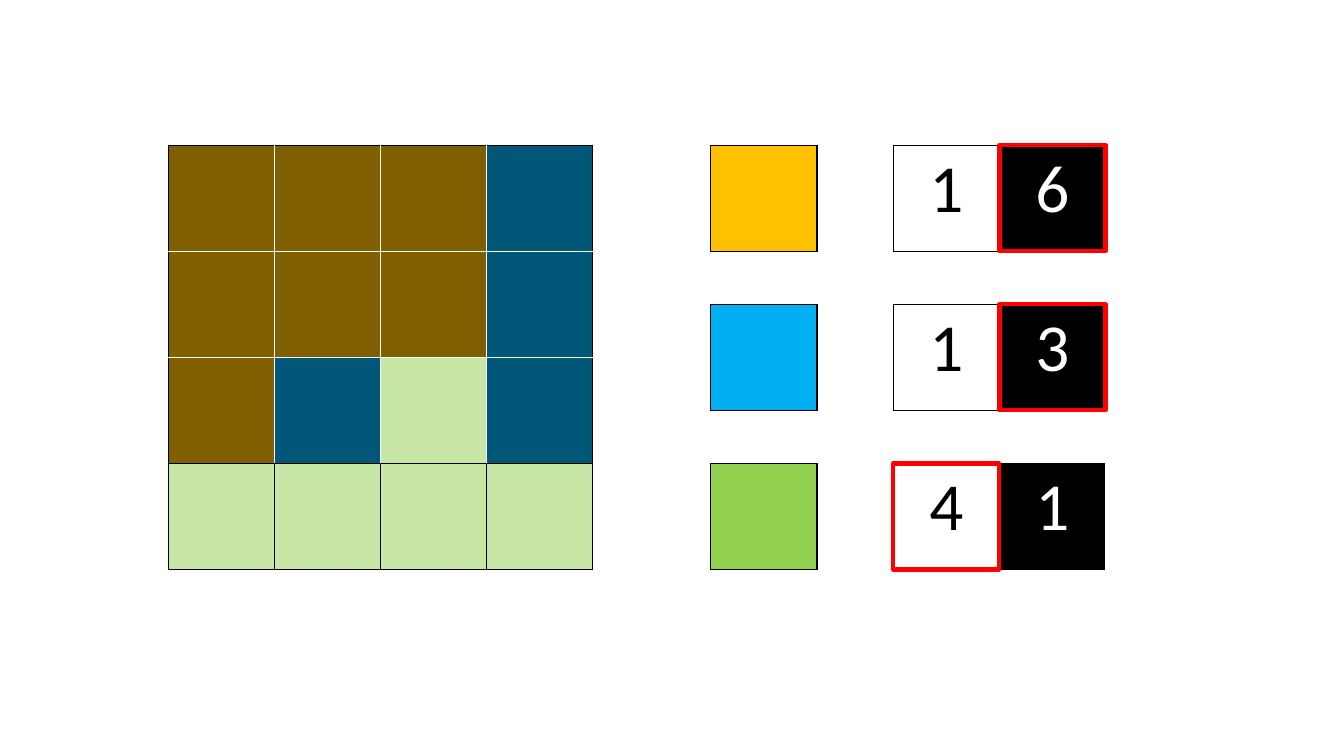
from dataclasses import dataclass
from typing import Callable

from lxml.etree import SubElement
from pptx import Presentation
from pptx.dml.color import RGBColor
from pptx.enum.shapes import MSO_SHAPE
from pptx.enum.text import PP_ALIGN
from pptx.oxml.ns import qn
from pptx.util import Inches, Pt

BLACK = RGBColor(0x00, 0x00, 0x00)
WHITE = RGBColor(0xFF, 0xFF, 0xFF)
RED = RGBColor(0xFF, 0x00, 0x00)
ORANGE = RGBColor(0xFF, 0xC0, 0x00)
BLUE = RGBColor(0x00, 0xB0, 0xF0)
GREEN = RGBColor(0x92, 0xD0, 0x50)
PALETTE = {"O": ORANGE, "B": BLUE, "G": GREEN, "K": BLACK, "W": WHITE}

# Grid: square cells, legend rows one and a half cells apart
CELL = Inches(4.21) // 4
ROW_STEP = CELL * 3 // 2
TOP = Inches(1.44)
BOARD_X, SWATCH_X, COUNT_X = Inches(1.67), Inches(7.05), Inches(8.86)

BOARD = ["OOOB", "OOOB", "OBGB", "GGGG"]
SHADE = ["KKKK", "KKKK", "KKWK", "WWWW"]

BorderRule = Callable[[int, int, str], RGBColor]


@dataclass
class Tally:
    colour: str
    white: int
    black: int

    @property
    def winner(self) -> int:
        return int(self.black > self.white)


TALLIES = [Tally("O", 1, 6), Tally("B", 1, 3), Tally("G", 4, 1)]


def black_border(row: int, col: int, side: str) -> RGBColor:
    return BLACK


def shade_border(row: int, col: int, side: str) -> RGBColor:
    """White between the shaded cells, black around them and in the last row."""
    inner = {"L": col > 0, "R": col < 3, "T": row > 0, "B": row < 2}
    return WHITE if row < 3 and inner[side] else BLACK


def count_border(row: int, col: int, side: str) -> RGBColor:
    return WHITE if (col, side) == (1, "R") else BLACK


def add_grid(s, x: int, y: int, rows: list[str], border: BorderRule = black_border,
             opacity: int = 100):
    """Draw a table of square cells, one palette letter a cell."""
    n_cols = len(rows[0])
    table = s.shapes.add_table(len(rows), n_cols, x, y, n_cols * CELL, len(rows) * CELL).table
    table.first_row = table.horz_banding = False
    for line in [*table.columns]:
        line.width = CELL
    for i, letters in enumerate(rows):
        table.rows[i].height = CELL
        for j, letter in enumerate(letters):
            cell = table.cell(i, j)
            props = cell._tc.get_or_add_tcPr()
            for side in "LRTB":
                ln = SubElement(props, qn(f"a:ln{side}"), w=str(Pt(1)))
                paint = SubElement(ln, qn("a:solidFill"))
                SubElement(paint, qn("a:srgbClr"), val=str(border(i, j, side)))
            cell.fill.solid()
            cell.fill.fore_color.rgb = PALETTE[letter]
            if opacity < 100:
                clr = props.find(qn("a:solidFill")).find(qn("a:srgbClr"))
                SubElement(clr, qn("a:alpha"), val=str(opacity * 1000))
    return table


def set_text(cell, text: str, *, color: RGBColor, size: int = 48,
             font: str = "Calibri", align: PP_ALIGN = PP_ALIGN.CENTER) -> None:
    cell.margin_left = cell.margin_right = Inches(0.07)
    cell.margin_top = cell.margin_bottom = Inches(0.03)
    p = cell.text_frame.paragraphs[0]
    p.alignment = align
    r = p.add_run()
    r.text = text
    r.font.name, r.font.size, r.font.color.rgb = font, Pt(size), color


def add_frame(s, x: int, y: int) -> None:
    sp = s.shapes.add_shape(MSO_SHAPE.RECTANGLE, x, y, CELL, CELL)
    sp.shadow.inherit = False
    sp.fill.background()
    sp.line.color.rgb = RED
    sp.line.width = Pt(3)


prs = Presentation()
prs.slide_width, prs.slide_height = Inches(13.33), Inches(7.5)
s = prs.slides.add_slide(prs.slide_layouts[6])

# Coloured board under a half-transparent shade
add_grid(s, BOARD_X, TOP, BOARD)
add_grid(s, BOARD_X, TOP, SHADE, shade_border, opacity=50)

# Swatch, white and black counts, and a frame on the larger count
for k, tally in enumerate(TALLIES):
    y = TOP + k * ROW_STEP
    add_grid(s, SWATCH_X, y, [tally.colour])
    counts = add_grid(s, COUNT_X, y, ["WK"], count_border)
    set_text(counts.cell(0, 0), str(tally.white), color=BLACK)
    set_text(counts.cell(0, 1), str(tally.black), color=WHITE)
    add_frame(s, COUNT_X + tally.winner * CELL, y)

prs.save("out.pptx")
